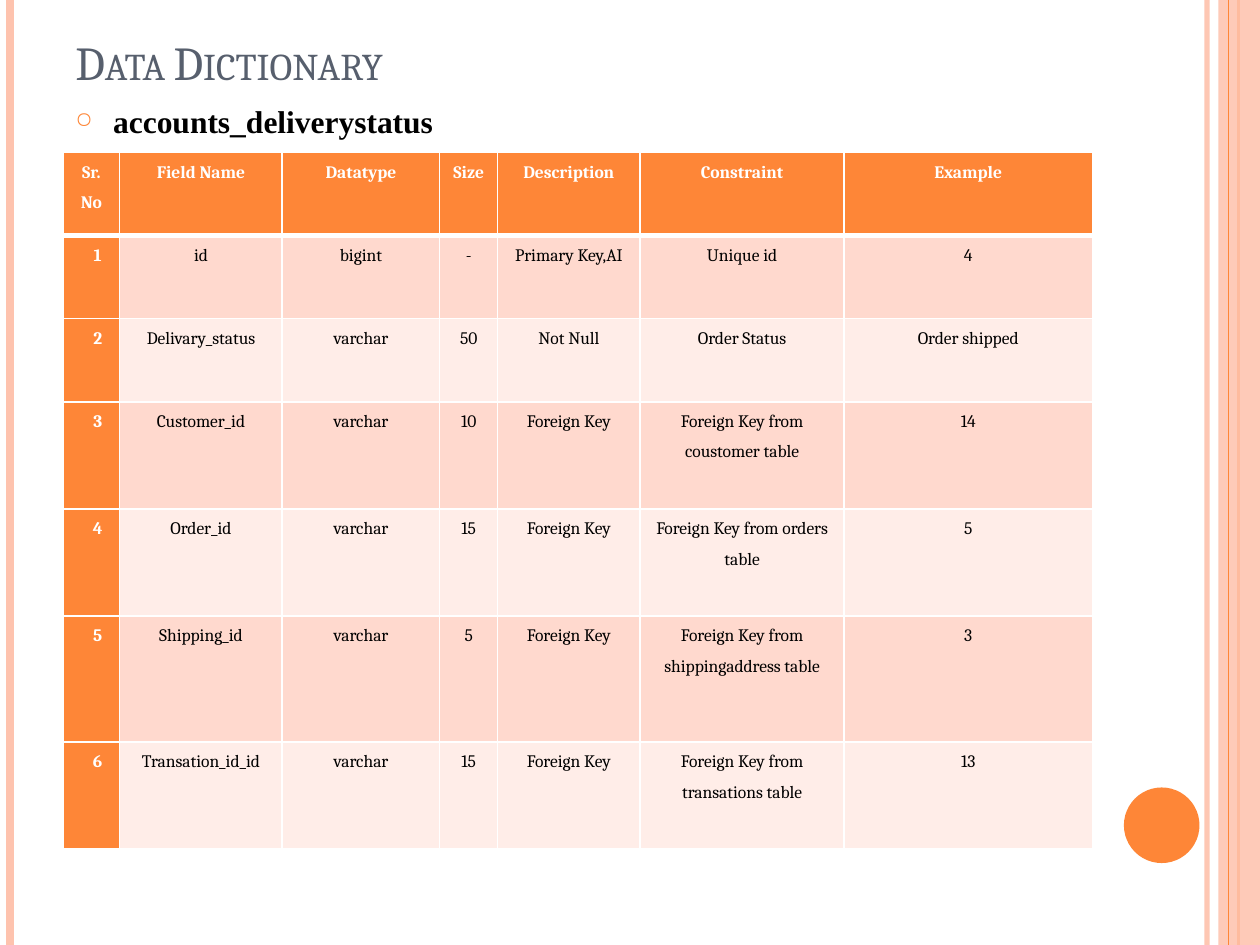
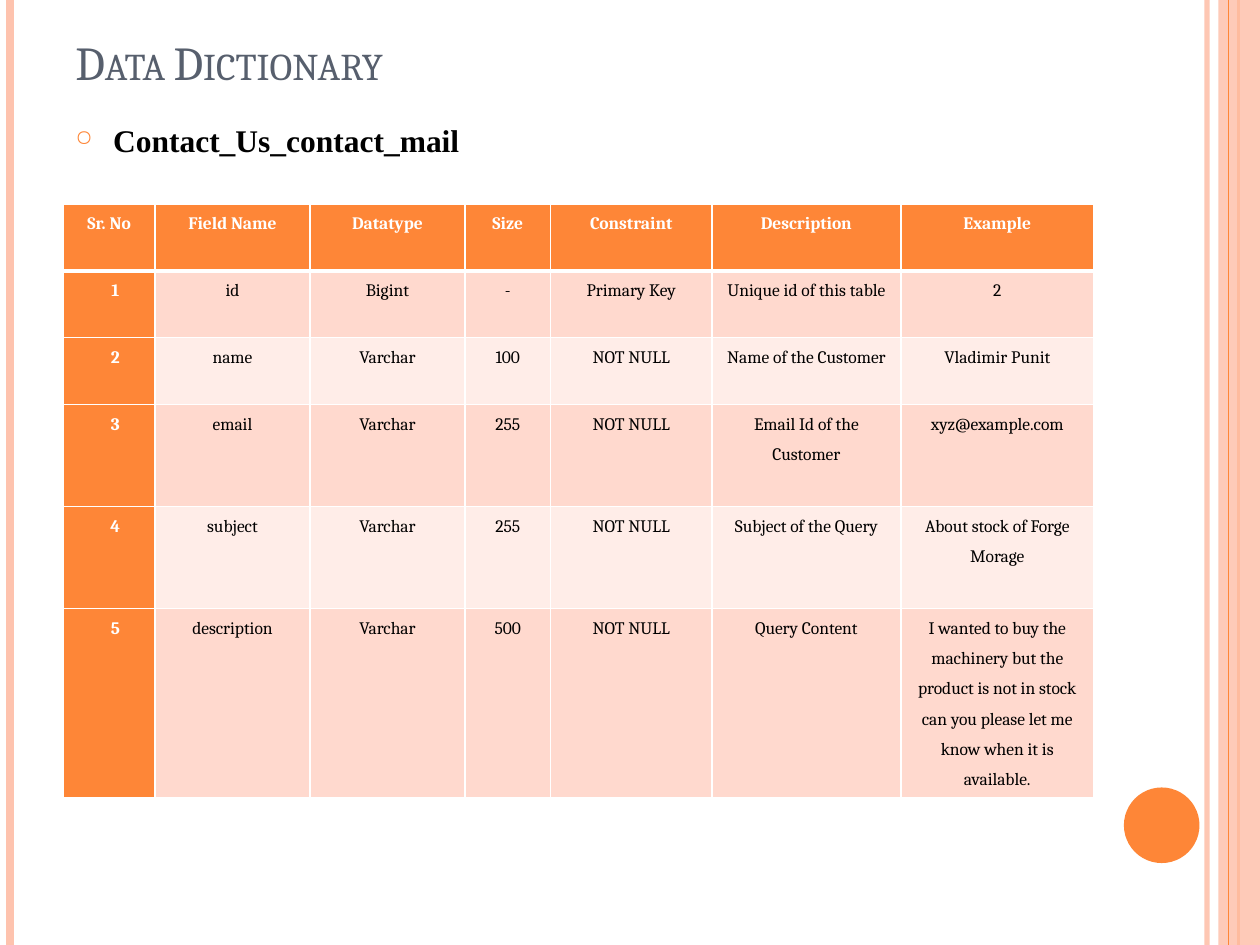
from dataclasses import dataclass

from lxml import etree
from pptx import Presentation
from pptx.dml.color import RGBColor
from pptx.enum.shapes import MSO_CONNECTOR, MSO_SHAPE
from pptx.enum.text import MSO_ANCHOR, PP_ALIGN
from pptx.oxml.ns import qn
from pptx.util import Inches, Pt

STRAIGHT = MSO_CONNECTOR.STRAIGHT
RECTANGLE, OVAL = MSO_SHAPE.RECTANGLE, MSO_SHAPE.OVAL
LEFT, CENTER = PP_ALIGN.LEFT, PP_ALIGN.CENTER
TOP, BOTTOM = MSO_ANCHOR.TOP, MSO_ANCHOR.BOTTOM
BLANK_LAYOUT = 6
SLIDE_WIDTH, SLIDE_HEIGHT = 10, 7.5
CONTENT_LEFT, CONTENT_WIDTH = 0.5, 8.17


@dataclass(frozen=True)
class Theme:
    accent: str = "FE8637"
    accent_pale: str = "FEC3AE"
    title: str = "575F6D"
    ink: str = "000000"
    white: str = "FFFFFF"
    bands: tuple[str, str] = ("FFD9CE", "FFEDE8")
    heading_font: str = "Cambria"
    body_font: str = "Times New Roman"
    title_size: float = 27
    subtitle_size: float = 18
    table_size: float = 10
    thin_border: float = 1
    header_border: float = 3


THEME = Theme()


@dataclass(frozen=True)
class Rule:
    x: float
    color: str
    weight: float
    opacity: int = 100


@dataclass(frozen=True)
class Panel:
    kind: MSO_SHAPE
    left: float
    top: float
    width: float
    height: float
    color: str
    opacity: int = 100


@dataclass(frozen=True)
class Dictionary:
    name: str
    top: float
    columns: tuple[float, ...]
    row_heights: tuple[float, ...]
    headers: tuple[str, ...]
    fields: tuple[tuple[str, ...], ...]
    line_spacing: float = 1


DECORATIONS = (
    Rule(9.58, THEME.accent_pale, 3, 93),
    Rule(0.08, THEME.accent_pale, 4.5),
    Rule(9.83, THEME.accent, 1.5),
    Panel(RECTANGLE, 9.67, 0, 0.33, SLIDE_HEIGHT, THEME.accent_pale, 87),
    Rule(9.75, THEME.accent, 0.75),
    Panel(OVAL, 8.92, 6.25, 0.6, 0.6, THEME.accent),
)

DICTIONARIES = (
    Dictionary(
        name="accounts_deliverystatus",
        top=1.21,
        columns=(0.45, 1.29, 1.25, 0.46, 1.13, 1.62, 1.97),
        row_heights=(0.66, 0.66, 0.66, 0.85, 0.85, 1, 0.85),
        headers=("Sr. No", "Field Name", "Datatype", "Size",
                 "Description", "Constraint", "Example"),
        fields=(
            ("id", "bigint", "-", "Primary Key,AI", "Unique id", "4"),
            ("Delivary_status", "varchar", "50", "Not Null",
             "Order Status", "Order shipped"),
            ("Customer_id", "varchar", "10", "Foreign Key",
             "Foreign Key from coustomer table", "14"),
            ("Order_id", "varchar", "15", "Foreign Key",
             "Foreign Key from orders table", "5"),
            ("Shipping_id", "varchar", "5", "Foreign Key",
             "Foreign Key from shippingaddress table", "3"),
            ("Transation_id_id", "varchar", "15", "Foreign Key",
             "Foreign Key from transations table", "13"),
        ),
    ),
    Dictionary(
        name="Contact_Us_contact_mail",
        top=1.62,
        columns=(0.73, 1.23, 1.23, 0.68, 1.28, 1.5, 1.53),
        row_heights=(0.53, 0.53, 0.53, 0.81, 0.81, 1.43),
        headers=("Sr. No", "Field Name", "Datatype", "Size",
                 "Constraint", "Description", "Example"),
        fields=(
            ("id", "Bigint", "-", "Primary Key",
             "Unique id of this table", "2"),
            ("name", "Varchar", "100", "NOT NULL",
             "Name of the Customer", "Vladimir Punit"),
            ("email", "Varchar", "255", "NOT NULL",
             "Email Id of the Customer", "xyz@example.com"),
            ("subject", "Varchar", "255", "NOT NULL",
             "Subject of the Query", "About stock of Forge Morage"),
            ("description", "Varchar", "500", "NOT NULL", "Query Content",
             "I wanted to buy the machinery but the product is not in stock "
             "can you please let me know when it is available."),
        ),
        line_spacing=1.5,
    ),
)


def add_element(parent, tag: str, **attributes: str):
    return etree.SubElement(parent, qn(tag), attributes)


def set_opacity(shape, percent: int) -> None:
    if percent < 100:
        for color in shape._element.spPr.iter(qn("a:srgbClr")):
            add_element(color, "a:alpha", val=str(percent * 1000))


def add_bullet(para) -> None:
    properties = para._p.get_or_add_pPr()
    properties.set("marL", str(Inches(0.3)))
    properties.set("indent", str(Inches(-0.3)))
    color = add_element(properties, "a:buClr")
    add_element(color, "a:srgbClr", val=THEME.accent)
    add_element(properties, "a:buSzPct", val="70000")
    add_element(properties, "a:buChar", char="○")


def write_text(frame, text: str, *, size: float, color: str, font: str,
               bold: bool = False, small_caps: bool = False,
               bullet: bool = False, align: PP_ALIGN = LEFT,
               indent: float = 0, line_spacing: float = 1,
               space_after: float = 0) -> None:
    frame.word_wrap = True
    para = frame.paragraphs[0]
    if bullet:
        add_bullet(para)
    elif indent:
        para._p.get_or_add_pPr().set("marL", str(Inches(indent)))
    para.alignment = align
    para.line_spacing = line_spacing
    para.space_after = Pt(space_after)
    span = para.add_run()
    span.text = text
    span.font.size = Pt(size)
    span.font.name = font
    span.font.bold = bold
    span.font.color.rgb = RGBColor.from_string(color)
    if small_caps:
        span.font._element.set("cap", "small")


def add_text_box(page, text: str, top: float, height: float,
                 anchor: MSO_ANCHOR = TOP, **text_format) -> None:
    box = page.shapes.add_textbox(Inches(CONTENT_LEFT), Inches(top),
                                  Inches(CONTENT_WIDTH), Inches(height))
    box.text_frame.vertical_anchor = anchor
    write_text(box.text_frame, text, **text_format)


def draw_rule(page, rule: Rule) -> None:
    connector = page.shapes.add_connector(
        STRAIGHT, Inches(rule.x), 0, Inches(rule.x), Inches(SLIDE_HEIGHT))
    connector.line.color.rgb = RGBColor.from_string(rule.color)
    connector.line.width = Pt(rule.weight)
    set_opacity(connector, rule.opacity)
    add_element(connector._element.spPr, "a:effectLst")


def draw_panel(page, panel: Panel) -> None:
    shape = page.shapes.add_shape(
        panel.kind, Inches(panel.left), Inches(panel.top),
        Inches(panel.width), Inches(panel.height))
    shape.shadow.inherit = False
    shape.fill.solid()
    shape.fill.fore_color.rgb = RGBColor.from_string(panel.color)
    shape.line.fill.background()
    set_opacity(shape, panel.opacity)


def set_borders(cell, top: float, bottom: float) -> None:
    properties = cell._tc.get_or_add_tcPr()
    sides = (("L", THEME.thin_border), ("R", THEME.thin_border),
             ("T", top), ("B", bottom))
    for side, weight in sides:
        line = add_element(properties, f"a:ln{side}", w=str(Pt(weight)))
        fill = add_element(line, "a:solidFill")
        add_element(fill, "a:srgbClr", val=THEME.white)


def fill_cell(cell, text: str, row: int, column: int,
              line_spacing: float = 1.5) -> None:
    emphasized = row == 0 or column == 0
    cell.margin_left = cell.margin_right = Inches(0.07)
    cell.margin_top = cell.margin_bottom = 0
    set_borders(
        cell,
        top=THEME.header_border if row == 1 else THEME.thin_border,
        bottom=THEME.header_border if row == 0 else THEME.thin_border)
    color = THEME.accent if emphasized else THEME.bands[(row - 1) % 2]
    cell.fill.solid()
    cell.fill.fore_color.rgb = RGBColor.from_string(color)
    write_text(cell.text_frame, text, size=THEME.table_size,
               color=THEME.white if emphasized else THEME.ink,
               font=THEME.heading_font, bold=emphasized, align=CENTER,
               indent=0.1 if row and column == 0 else 0,
               line_spacing=line_spacing, space_after=10)


def draw_table(page, dictionary: Dictionary) -> None:
    numbered = [(str(number), *field)
                for number, field in enumerate(dictionary.fields, start=1)]
    rows = [dictionary.headers, *numbered]
    table = page.shapes.add_table(
        len(rows), len(dictionary.columns), Inches(CONTENT_LEFT),
        Inches(dictionary.top), Inches(CONTENT_WIDTH),
        Inches(sum(dictionary.row_heights))).table
    table.horz_banding = False
    for column, width in zip(table.columns, dictionary.columns):
        column.width = Inches(width)
    for row, height in zip(table.rows, dictionary.row_heights):
        row.height = Inches(height)
    for row, texts in enumerate(rows):
        for column, text in enumerate(texts):
            fill_cell(table.cell(row, column), text, row, column)


def build_page(deck, dictionary: Dictionary) -> None:
    page = deck.slides.add_slide(deck.slide_layouts[BLANK_LAYOUT])
    for decoration in DECORATIONS:
        if isinstance(decoration, Rule):
            draw_rule(page, decoration)
        else:
            draw_panel(page, decoration)
    add_text_box(page, "Data Dictionary", 0.3, 0.46, BOTTOM,
                 size=THEME.title_size, color=THEME.title,
                 font=THEME.heading_font, small_caps=True)
    add_text_box(page, dictionary.name, 0.76, 6.32,
                 size=THEME.subtitle_size, color=THEME.ink,
                 font=THEME.body_font, bold=True, bullet=True,
                 line_spacing=dictionary.line_spacing)
    draw_table(page, dictionary)


def main() -> None:
    deck = Presentation()
    deck.slide_width = Inches(SLIDE_WIDTH)
    deck.slide_height = Inches(SLIDE_HEIGHT)
    for dictionary in DICTIONARIES:
        build_page(deck, dictionary)
    deck.save("out.pptx")


if __name__ == "__main__":
    main()
